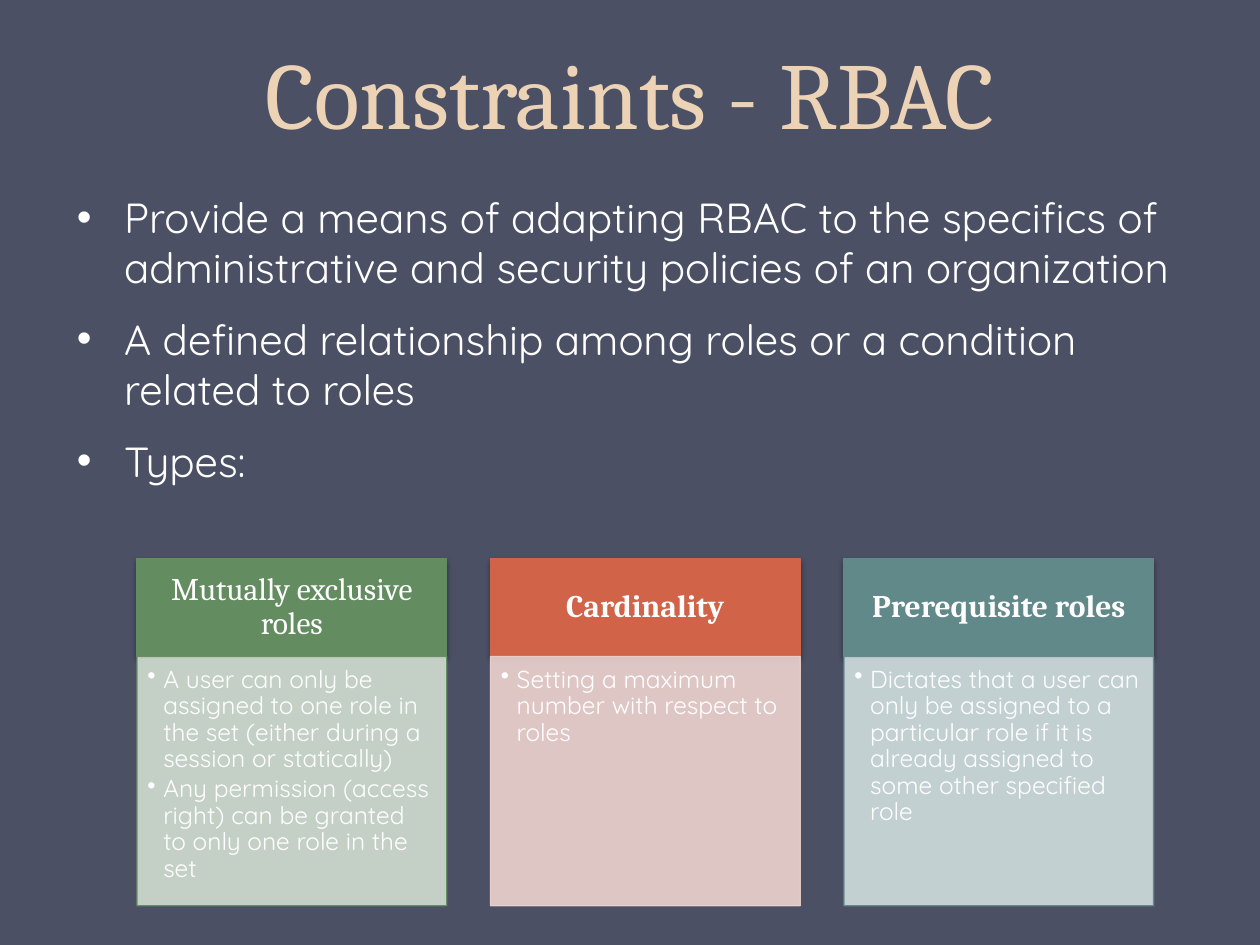
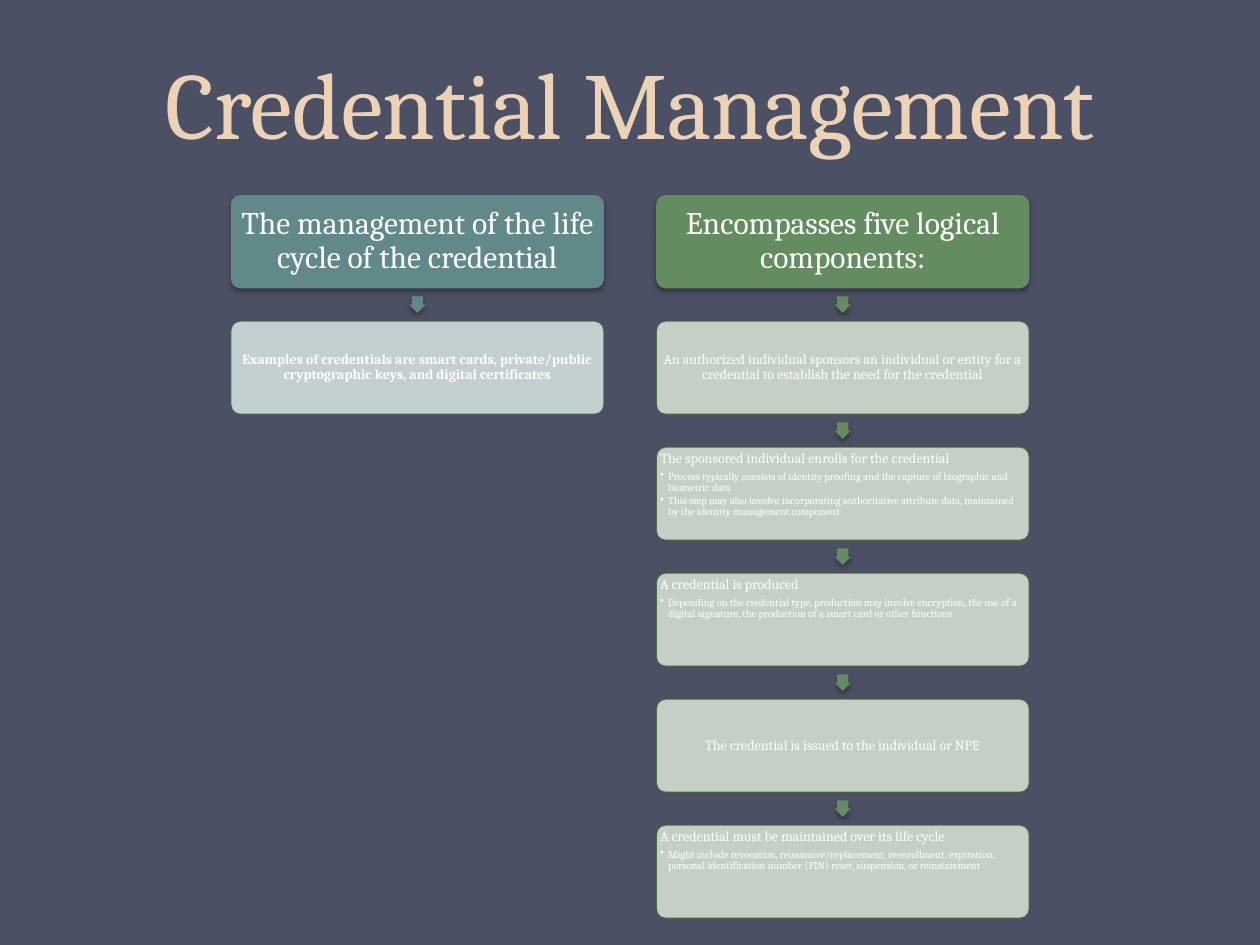
from dataclasses import dataclass

from lxml import etree
from pptx import Presentation
from pptx.dml.color import RGBColor
from pptx.enum.shapes import MSO_SHAPE
from pptx.enum.text import MSO_ANCHOR, MSO_AUTO_SIZE, PP_ALIGN
from pptx.oxml.ns import qn
from pptx.util import Pt

RECTANGLE = MSO_SHAPE.RECTANGLE
ROUNDED = MSO_SHAPE.ROUNDED_RECTANGLE
DOWN_ARROW = MSO_SHAPE.DOWN_ARROW
TOP, MIDDLE, BOTTOM = MSO_ANCHOR.TOP, MSO_ANCHOR.MIDDLE, MSO_ANCHOR.BOTTOM
LEFT, CENTER = PP_ALIGN.LEFT, PP_ALIGN.CENTER
NO_AUTOFIT = MSO_AUTO_SIZE.NONE

SERIF, SANS = "Cambria", "Quicksand"
BACKGROUND, TITLE_COLOR, WHITE = "4B5064", "EDD3B6", "FFFFFF"
GREEN, PALE_GREEN, DARK_GREEN = "648C61", "D2DFD1", "435E40"
TEAL, PALE_TEAL, DARK_TEAL = "61898A", "D1DEDF", "415B5C"
ORANGE, PALE_ORANGE = "D16349", "EED3D0"
TITLE_AND_CONTENT, TITLE_ONLY = 1, 5


@dataclass
class Area:
    left: float
    top: float
    width: float
    height: float

    def lengths(self) -> list:
        return [Pt(value) for value in (self.left, self.top, self.width, self.height)]


@dataclass
class TextStyle:
    size: float
    font: str = SERIF
    bold: bool = False
    align: PP_ALIGN = LEFT
    indent: float = 0
    line_spacing: float = 0.9
    space_before: float = 0
    space_after: float = 0
    color: str = WHITE


@dataclass
class Card:
    heading: str
    points: list
    color: str
    pale: str
    outline: str
    bold: bool = True


@dataclass
class Step:
    text: str
    points: tuple = ()
    bold: bool = False


@dataclass
class Chain:
    heading: str
    steps: list
    color: str
    pale: str
    outline: str


CARDS = [
    Card("Mutually exclusive roles",
         ["A user can only be assigned to one role in the set (either during a session or statically)",
          "Any permission (access right) can be granted to only one role in the set"],
         GREEN, PALE_GREEN, GREEN, bold=False),
    Card("Cardinality", ["Setting a maximum number with respect to roles"],
         ORANGE, PALE_ORANGE, PALE_ORANGE),
    Card("Prerequisite roles",
         ["Dictates that a user can only be assigned to a particular role if it is already "
          "assigned to some other specified role"],
         TEAL, PALE_TEAL, TEAL),
]

CHAINS = [
    Chain("The management of the life cycle of the credential",
          [Step("Examples of credentials are smart cards, private/public cryptographic keys, "
                "and digital certificates", bold=True)],
          TEAL, PALE_TEAL, DARK_TEAL),
    Chain("Encompasses five logical components:",
          [Step("An authorized individual sponsors an individual or entity for a credential "
                "to establish the need for the credential"),
           Step("The sponsored individual enrolls for the credential",
                ("Process typically consists of identity proofing and the capture of biographic "
                 "and biometric data",
                 "This step may also involve incorporating authoritative attribute data, "
                 "maintained by the identity management component")),
           Step("A credential is produced",
                ("Depending on the credential type, production may involve encryption, the use "
                 "of a digital signature, the production of a smart card or other functions",)),
           Step("The credential is issued to the individual or NPE"),
           Step("A credential must be maintained over its life cycle",
                ("Might include revocation, reissuance/replacement, reenrollment, expiration, "
                 "personal identification number (PIN) reset, suspension, or reinstatement",))],
          GREEN, PALE_GREEN, DARK_GREEN),
]


def paint(target, color: str) -> None:
    """Give a fill or a font a solid colour."""
    if hasattr(target, "solid"):
        target.solid()
        target.fore_color.rgb = RGBColor.from_string(color)
    else:
        target.color.rgb = RGBColor.from_string(color)


def add_bullet(para, indent: float) -> None:
    properties = para._p.get_or_add_pPr()
    properties.set("marL", str(Pt(indent)))
    properties.set("indent", str(-Pt(indent)))
    etree.SubElement(properties, qn("a:buChar"), char="•")


def write(frame, lines: list, anchor=TOP, insets=(7.2, 3.6, 7.2, 3.6)) -> None:
    """Fill a frame with (text, style) lines; insets run left, top, right, bottom."""
    frame.word_wrap = True
    frame.auto_size = NO_AUTOFIT
    frame.vertical_anchor = anchor
    frame.margin_left, frame.margin_top, frame.margin_right, frame.margin_bottom = map(Pt, insets)
    for index, (text, style) in enumerate(lines):
        para = frame.add_paragraph() if index else frame.paragraphs[0]
        para.text = text
        if style.indent:
            add_bullet(para, style.indent)
        para.alignment = style.align
        para.line_spacing = style.line_spacing
        para.space_before = Pt(style.space_before if index else 0)
        para.space_after = Pt(style.space_after)
        for span in para.runs:
            span.font.name = style.font
            span.font.size = Pt(style.size)
            span.font.bold = style.bold
            paint(span.font, style.color)


def add_shadow(shape) -> None:
    effects = shape.element.spPr.find(qn("a:effectLst"))
    shadow = etree.SubElement(effects, qn("a:outerShdw"), blurRad=str(Pt(3.1)),
                              dist=str(Pt(1.8)), dir="5400000", rotWithShape="0")
    color = etree.SubElement(shadow, qn("a:srgbClr"), val="000000")
    etree.SubElement(color, qn("a:alpha"), val="35000")


def add_panel(page, kind, area: Area, color: str, outline: str = "", pale: bool = False):
    """Draw a see-through pale panel, or a solid one with a shadow."""
    shape = page.shapes.add_shape(kind, *area.lengths())
    shape.shadow.inherit = False
    paint(shape.fill, color)
    if outline:
        paint(shape.line.fill, outline)
        shape.line.width = Pt(0.75)
    else:
        shape.line.fill.background()
    if kind == ROUNDED:
        shape.adjustments[0] = 0.1
    if pale:
        for tone in shape.element.spPr.iter(qn("a:srgbClr")):
            etree.SubElement(tone, qn("a:alpha"), val="90000")
    else:
        add_shadow(shape)
    return shape


def place(placeholder, area: Area) -> None:
    placeholder.left, placeholder.top, placeholder.width, placeholder.height = area.lengths()


def add_page(deck, layout: int, title: str, title_height: float):
    page = deck.slides.add_slide(deck.slide_layouts[layout])
    place(page.shapes.title, Area(36, 0, 648, title_height))
    style = TextStyle(54, align=CENTER, line_spacing=Pt(58), color=TITLE_COLOR)
    write(page.shapes.title.text_frame, [(title, style)], BOTTOM)
    return page


def add_card(page, card: Card, left: float) -> None:
    top, width, heading_height, body_height = 319, 177, 56.2, 142.4
    heading = add_panel(page, RECTANGLE, Area(left, top, width, heading_height),
                        card.color, card.color)
    style = TextStyle(18, bold=card.bold, align=CENTER, space_after=6.3)
    write(heading.text_frame, [(card.heading, style)], MIDDLE, (10, 6, 10, 6))
    body = add_panel(page, RECTANGLE, Area(left, top + heading_height, width, body_height),
                     card.pale, card.outline, pale=True)
    style = TextStyle(14, SANS, indent=9, space_after=2.1)
    write(body.text_frame, [(point, style) for point in card.points], TOP, (6, 6, 8, 9))


def add_chain(page, chain: Chain, left: float) -> None:
    """Stack a heading and its steps, with an arrow in each gap."""
    top, width, height, pitch, arrow = 111.5, 213.2, 53.3, 72, 9.4
    heading = add_panel(page, ROUNDED, Area(left, top, width, height), chain.color)
    style = TextStyle(18, align=CENTER, space_after=6.3)
    write(heading.text_frame, [(chain.heading, style)], MIDDLE, (2, 2, 2, 2))
    for number, step in enumerate(chain.steps, 1):
        step_top = top + number * pitch
        arrow_top = step_top - (pitch - height + arrow) / 2
        pointer = add_panel(page, DOWN_ARROW,
                            Area(left + (width - arrow) / 2, arrow_top, arrow, arrow), chain.color)
        pointer.adjustments[0] = 0.67
        box = add_panel(page, ROUNDED, Area(left, step_top, width, height),
                        chain.pale, chain.outline, pale=True)
        align, anchor = (LEFT, TOP) if step.points else (CENTER, MIDDLE)
        lines = [(step.text, TextStyle(8, bold=step.bold, align=align, space_after=2.8))]
        lines += [(point, TextStyle(6, indent=4.5, space_after=0.9)) for point in step.points]
        write(box.text_frame, lines, anchor, (0.8, 0.8, 0.8, 0.8))


def build_constraints(deck) -> None:
    page = add_page(deck, TITLE_AND_CONTENT, "Constraints - RBAC", 88.6)
    body = page.placeholders[1]
    place(body, Area(36.7, 105.8, 648, 396))
    style = TextStyle(24, SANS, indent=27, line_spacing=1.0, space_before=12)
    points = ["Provide a means of adapting RBAC to the specifics of administrative and "
              "security policies of an organization",
              "A defined relationship among roles or a condition related to roles",
              "Types:"]
    write(body.text_frame, [(point, style) for point in points])
    for column, card in enumerate(CARDS):
        add_card(page, card, 78.3 + column * 202)


def build_credentials(deck) -> None:
    page = add_page(deck, TITLE_ONLY, "Credential Management", 94.3)
    for column, chain in enumerate(CHAINS):
        add_chain(page, chain, 131.9 + column * 243.1)


def main() -> None:
    deck = Presentation()
    deck.slide_width, deck.slide_height = Pt(720), Pt(540)
    paint(deck.slide_master.background.fill, BACKGROUND)
    build_constraints(deck)
    build_credentials(deck)
    deck.save("out.pptx")


if __name__ == "__main__":
    main()
